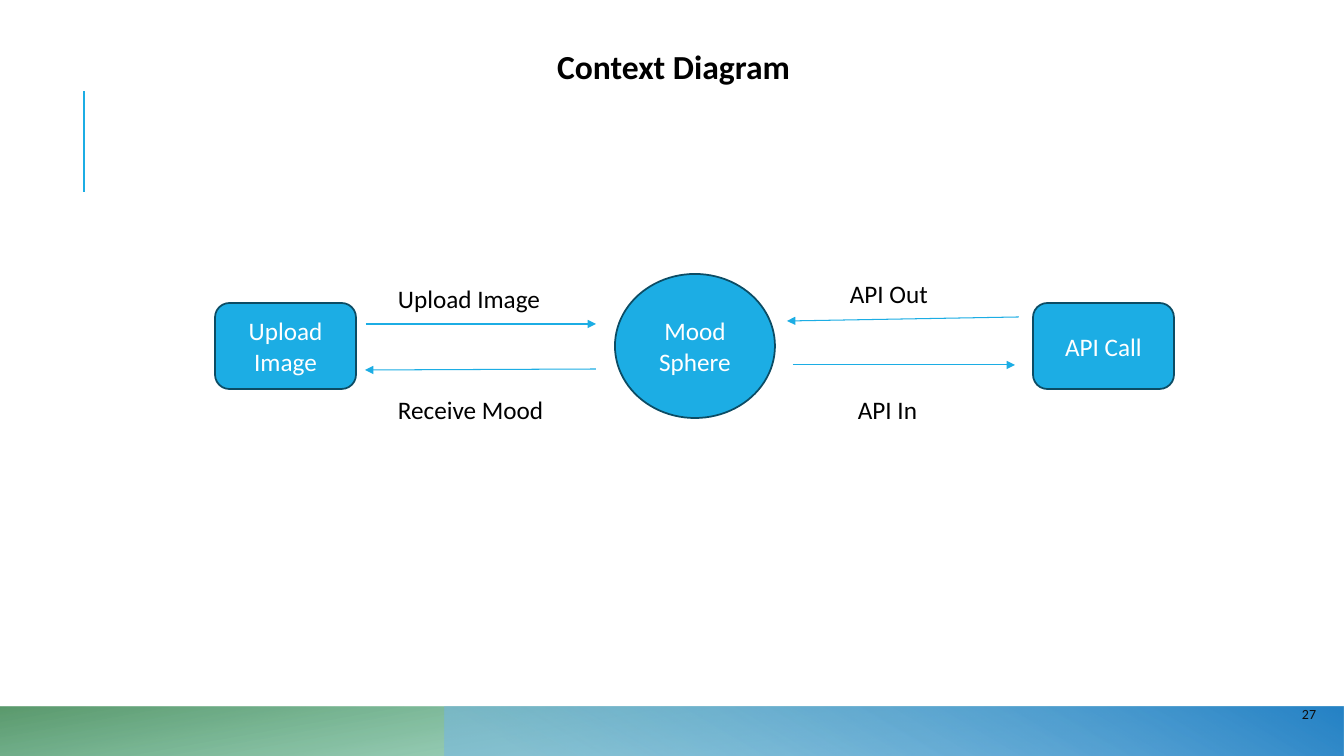
import dataclasses

import lxml.etree
import pptx
import pptx.dml.color
import pptx.enum.shapes
import pptx.enum.text
import pptx.oxml.ns
import pptx.util

SHAPE = pptx.enum.shapes.MSO_SHAPE
ALIGN = pptx.enum.text.PP_ALIGN
ANCHOR = pptx.enum.text.MSO_ANCHOR
EMU_PER_PX = 914400 / 100.8


@dataclasses.dataclass(frozen=True)
class Theme:
    font: str = "Calibri"
    accent: str = "1CADE4"
    outline: str = "0C4C64"
    text: str = "000000"
    number: str = "0D0D0D"
    inverse: str = "FFFFFF"
    green_band: tuple = ((0.14, "42BA97", 28), (1, "3E8853", 85))
    blue_band: tuple = ((0.09, "75B6E5", 55), (0.99, "2683C6", 100))
    title_size: int = 24
    body_size: int = 18
    number_size: int = 10


def px(*lengths):
    return [pptx.util.Emu(round(length * EMU_PER_PX)) for length in lengths]


def rgb(color):
    return pptx.dml.color.RGBColor.from_string(color)


def add_xml(parent, tag, **attributes):
    return lxml.etree.SubElement(parent, pptx.oxml.ns.qn(tag), **attributes)


class DiagramSlide:
    def __init__(self, presentation, theme):
        self.theme = theme
        self.slide = presentation.slides.add_slide(presentation.slide_layouts[5])
        self.shapes = self.slide.shapes

    def set_text(self, shape, lines, size, color, align=ALIGN.LEFT, anchor=ANCHOR.TOP, bold=False):
        frame = shape.text_frame
        frame.word_wrap = True
        frame.auto_size = pptx.enum.text.MSO_AUTO_SIZE.NONE
        frame.vertical_anchor = anchor
        for index, line in enumerate(lines):
            paragraph = frame.add_paragraph() if index else frame.paragraphs[0]
            paragraph.alignment = align
            run = paragraph.add_run()
            run.text = line
            run.font.name = self.theme.font
            run.font.size = pptx.util.Pt(size)
            run.font.bold = bold
            run.font.color.rgb = rgb(color)

    def title(self, text, *box):
        title = self.shapes.title
        title.left, title.top, title.width, title.height = px(*box)
        self.set_text(title, [text], self.theme.title_size, self.theme.text, bold=True)

    def label(self, text, *box):
        shape = self.shapes.add_textbox(*px(*box))
        self.set_text(shape, [text], self.theme.body_size, self.theme.text)

    def page_number(self, text, *box):
        shape = self.shapes.add_textbox(*px(*box))
        self.set_text(shape, [text], self.theme.number_size, self.theme.number,
                      ALIGN.RIGHT, ANCHOR.MIDDLE)

    def node(self, kind, lines, *box):
        shape = self.shapes.add_shape(kind, *px(*box))
        shape.shadow.inherit = False
        shape.fill.solid()
        shape.fill.fore_color.rgb = rgb(self.theme.accent)
        shape.line.color.rgb = rgb(self.theme.outline)
        shape.line.width = pptx.util.Pt(1.25)
        self.set_text(shape, lines, self.theme.body_size, self.theme.inverse,
                      ALIGN.CENTER, ANCHOR.MIDDLE)

    def band(self, stops, angle, *box):
        shape = self.shapes.add_shape(SHAPE.RECTANGLE, *px(*box))
        shape.shadow.inherit = False
        shape.line.fill.background()
        shape.fill.gradient()
        shape.fill.gradient_angle = angle
        for stop, (position, color, _) in zip(shape.fill.gradient_stops, stops):
            stop.position = position
            stop.color.rgb = rgb(color)
        colors = shape._element.spPr.iter(pptx.oxml.ns.qn("a:srgbClr"))
        for element, (_, _, opacity) in zip(list(colors), stops):
            add_xml(element, "a:alpha", val=str(opacity * 1000))

    def line(self, *ends, width=0.75, arrow=False):
        connector = self.shapes.add_connector(
            pptx.enum.shapes.MSO_CONNECTOR.STRAIGHT, *px(*ends))
        connector.line.color.rgb = rgb(self.theme.accent)
        connector.line.width = pptx.util.Pt(width)
        properties = connector._element.spPr
        if arrow:
            add_xml(properties.find(pptx.oxml.ns.qn("a:ln")), "a:tailEnd", type="triangle")
        add_xml(properties, "a:effectLst")


def main():
    presentation = pptx.Presentation()
    presentation.slide_width, presentation.slide_height = px(1344, 756)
    theme = Theme()
    diagram = DiagramSlide(presentation, theme)

    diagram.line(84, 192, 84, 91, width=1.5)
    diagram.band(theme.green_band, 100, 0, 707, 1344, 50)
    diagram.band(theme.blue_band, 60, 445, 707, 899, 50)
    diagram.page_number("27", 1245, 685, 81, 57)
    diagram.title("Context Diagram", 547, 41, 318, 50)

    diagram.node(SHAPE.OVAL, ["Mood", "Sphere"], 615, 274, 160, 144)
    for text, left in (("Upload Image", 215), ("API Call", 1033)):
        diagram.node(SHAPE.ROUNDED_RECTANGLE, [text], left, 303, 141, 86)

    for ends in (
        (366, 324, 596, 324),
        (793, 365, 1015, 365),
        (596, 369, 365, 370),
        (1019, 317, 787, 321),
    ):
        diagram.line(*ends, arrow=True)

    for text, left, top in (
        ("Upload Image", 388, 278),
        ("Receive Mood", 388, 389),
        ("API Out", 840, 273),
        ("API In", 848, 389),
    ):
        diagram.label(text, left, top, 185, 40)

    presentation.save("out.pptx")


if __name__ == "__main__":
    main()
